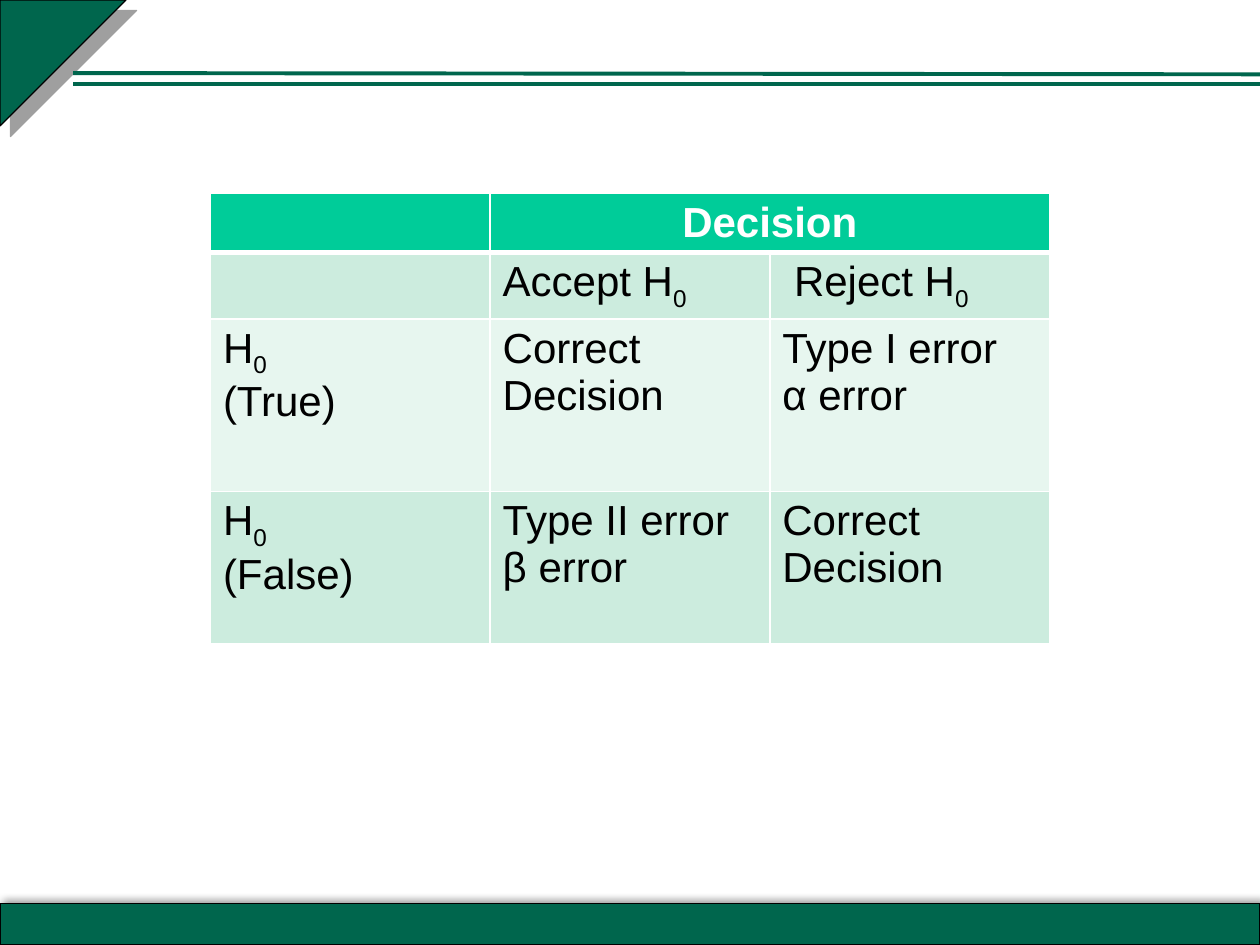
from lxml import etree
from pptx import Presentation
from pptx.dml.color import RGBColor
from pptx.enum.shapes import MSO_CONNECTOR, MSO_SHAPE
from pptx.enum.text import PP_ALIGN
from pptx.oxml.ns import qn
from pptx.util import Inches, Pt

RECTANGLE = MSO_SHAPE.RECTANGLE
RIGHT_TRIANGLE = MSO_SHAPE.RIGHT_TRIANGLE
STRAIGHT = MSO_CONNECTOR.STRAIGHT
CENTER = PP_ALIGN.CENTER

BRAND = "00664D"
BLACK = "000000"
WHITE = "FFFFFF"
HEADER = "00CC99"
BAND_DARK = "CCECDE"
BAND_LIGHT = "E7F6EF"

ROW_FILLS = [HEADER, BAND_DARK, BAND_LIGHT, BAND_DARK]
ROW_HEIGHTS = [0.46, 0.53, 1.37, 1.21]
COLUMN_WIDTH = 2.22
DECISION_ROWS = [
    ["", "Decision", ""],
    ["", "Accept H|0", " Reject H|0"],
    ["H|0\n(True)", "Correct Decision", "Type I error\nα error"],
    ["H|0\n(False)", "Type II error\nβ error", "Correct Decision"],
]


def color(value):
    return RGBColor.from_string(value)


class SlideBuilder:
    """Holds the text style and the current slide, and draws its elements."""

    def __init__(self, slide, font="Arial", size=24):
        self.slide = slide
        self.font = font
        self.size = size

    def shape(self, kind, left, top, width, height, shadow, rotation=0):
        shape = self.slide.shapes.add_shape(
            kind, Inches(left), Inches(top), Inches(width), Inches(height))
        shape.rotation = rotation
        shape.fill.solid()
        shape.fill.fore_color.rgb = color(BRAND)
        shape.line.color.rgb = color(BLACK)
        shape.line.width = Pt(0.75)
        shape.shadow.inherit = False
        self.cast_shadow(shape, *shadow)

    def cast_shadow(self, shape, value, opacity, blur, distance, angle):
        effects = shape._element.spPr.find(qn("a:effectLst"))
        outer = etree.SubElement(
            effects, qn("a:outerShdw"), blurRad=str(Pt(blur)),
            dist=str(Pt(distance)), dir=str(angle * 60000), rotWithShape="0")
        tint = etree.SubElement(outer, qn("a:srgbClr"), val=value)
        etree.SubElement(tint, qn("a:alpha"), val=str(opacity * 1000))

    def line(self, start, end):
        connector = self.slide.shapes.add_connector(
            STRAIGHT, *[Inches(length) for length in (*start, *end)])
        connector.line.color.rgb = color(BRAND)
        connector.line.width = Pt(2.25)
        etree.SubElement(connector._element.spPr, qn("a:effectLst"))

    def table(self, left, top, rows):
        columns = len(rows[0])
        table = self.slide.shapes.add_table(
            len(rows), columns, Inches(left), Inches(top),
            Inches(COLUMN_WIDTH * columns), Inches(sum(ROW_HEIGHTS))).table
        for column in table.columns:
            column.width = Inches(COLUMN_WIDTH)
        for row, height in zip(table.rows, ROW_HEIGHTS):
            row.height = Inches(height)
        for row_index, texts in enumerate(rows):
            for column_index, text in enumerate(texts):
                self.cell(table.cell(row_index, column_index), text, row_index)
        table.cell(0, 1).merge(table.cell(0, 2))

    def cell(self, cell, text, row_index):
        top_width = 3 if row_index == 1 else 1
        bottom_width = 3 if row_index == 0 else 1
        self.borders(cell, lnL=1, lnR=1, lnT=top_width, lnB=bottom_width)
        cell.fill.solid()
        cell.fill.fore_color.rgb = color(ROW_FILLS[row_index])
        cell.text_frame.text = text
        for paragraph in cell.text_frame.paragraphs:
            self.format_paragraph(paragraph, is_header=row_index == 0)

    def borders(self, cell, **widths):
        properties = cell._tc.get_or_add_tcPr()
        for side, width in widths.items():
            border = etree.SubElement(
                properties, qn(f"a:{side}"), w=str(Pt(width)))
            fill = etree.SubElement(border, qn("a:solidFill"))
            etree.SubElement(fill, qn("a:srgbClr"), val=WHITE)

    def format_paragraph(self, paragraph, is_header):
        base, _, subscript = paragraph.text.partition("|")
        paragraph.text = base
        if subscript:
            run = paragraph.add_run()
            run.text = subscript
            run.font._element.set("baseline", "-25000")
        if is_header:
            paragraph.alignment = CENTER
        for run in paragraph.runs:
            run.font.name = self.font
            run.font.size = Pt(self.size)
            run.font.bold = is_header
            run.font.color.rgb = color(WHITE if is_header else BLACK)


def main():
    presentation = Presentation()
    presentation.slide_width = Inches(10)
    presentation.slide_height = Inches(7.5)
    slide = presentation.slides.add_slide(presentation.slide_layouts[6])
    builder = SlideBuilder(slide)
    builder.shape(RECTANGLE, 0, 7.17, 10, 0.33, (BLACK, 40, 4, 3, 315))
    builder.shape(RIGHT_TRIANGLE, 0, 0, 1, 1, ("808080", 75, 0, 8.5, 45), 90)
    builder.line((0.58, 0.67), (10, 0.67))
    builder.line((0.58, 0.58), (10, 0.59))
    builder.table(1.67, 1.53, DECISION_ROWS)
    presentation.save("out.pptx")


if __name__ == "__main__":
    main()
